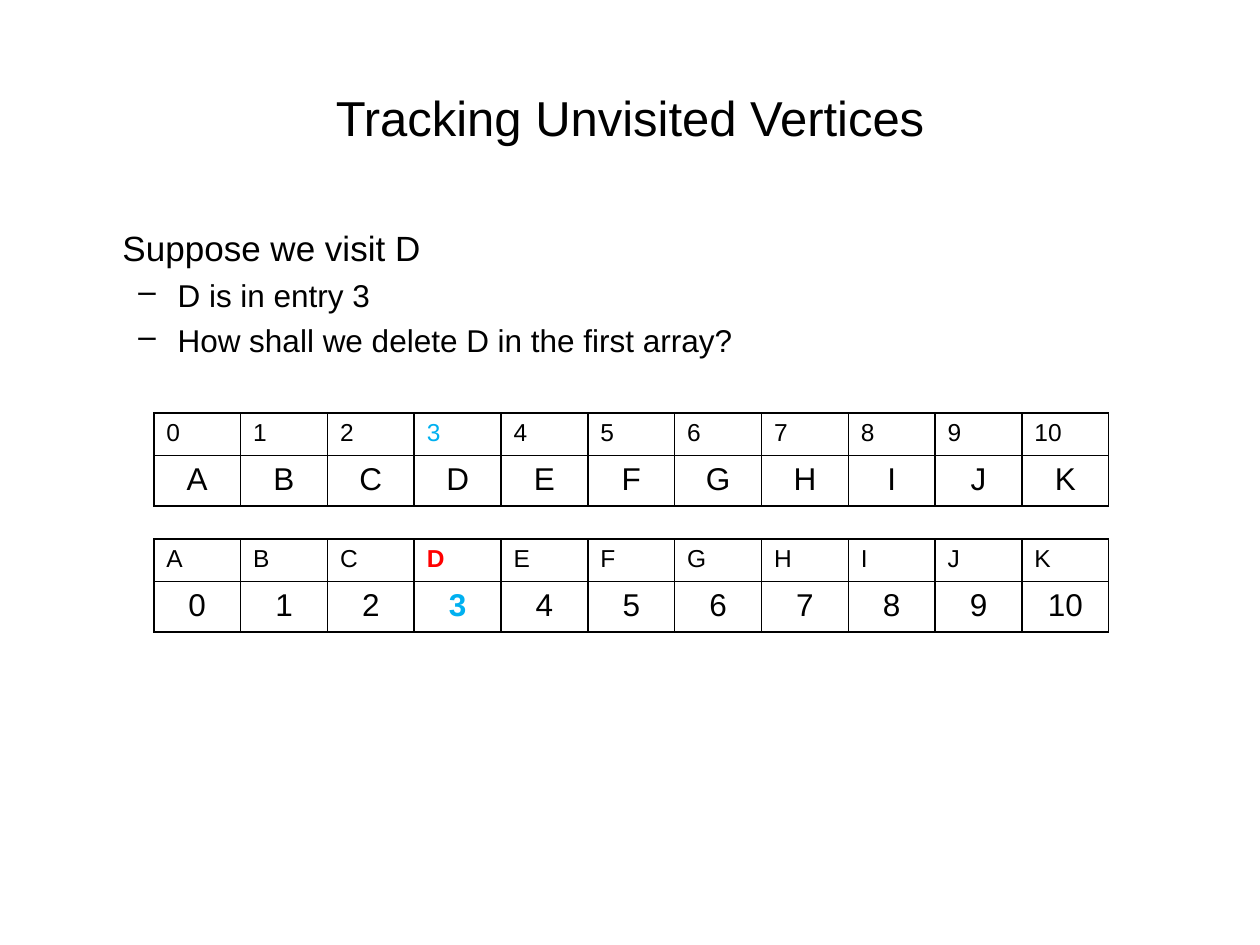
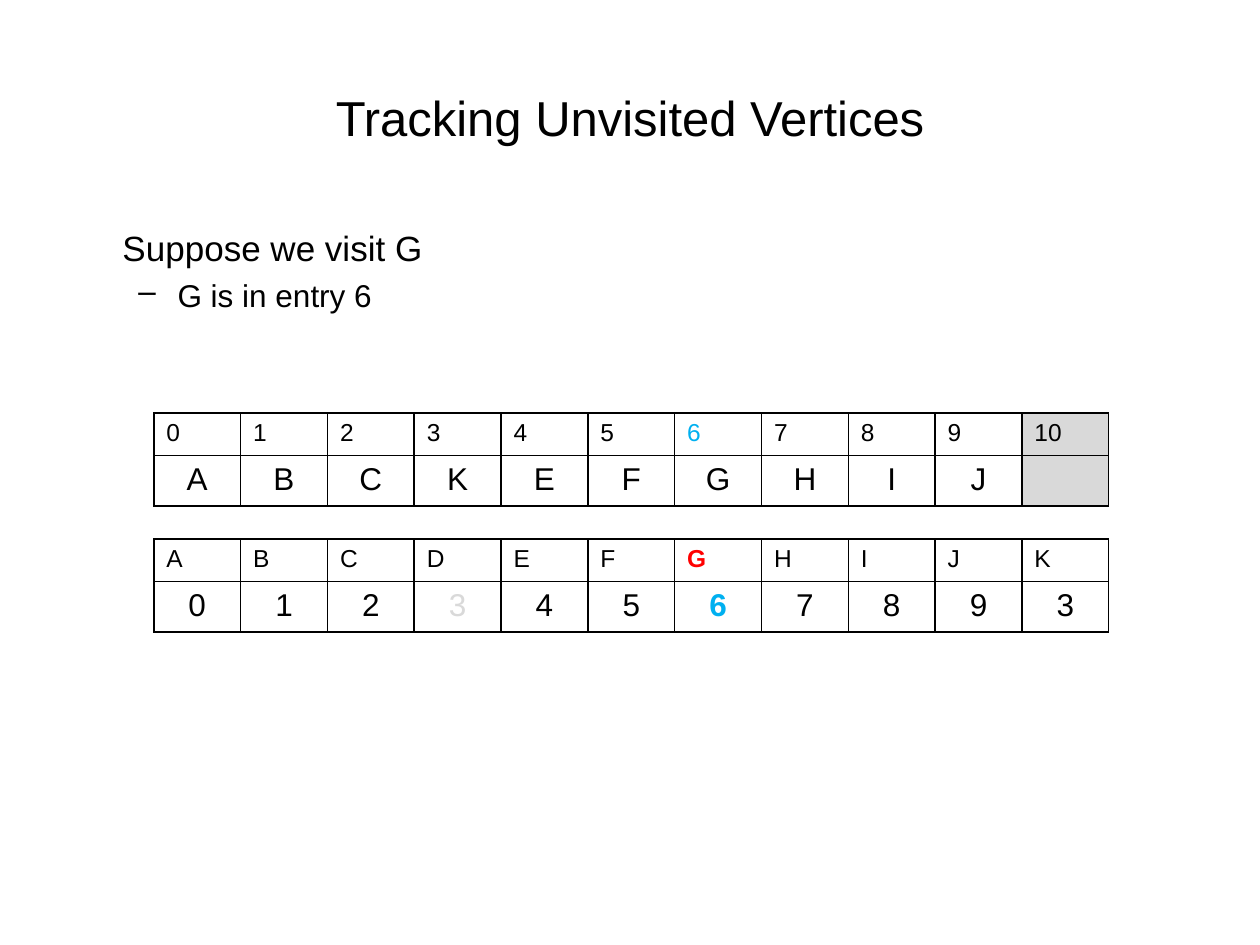
import dataclasses

import lxml.etree
import pptx
import pptx.dml.color
import pptx.enum.text
import pptx.oxml.ns
import pptx.util

Cm = pptx.util.Cm
Pt = pptx.util.Pt
qn = pptx.oxml.ns.qn
Align = pptx.enum.text.PP_ALIGN
Anchor = pptx.enum.text.MSO_ANCHOR


@dataclasses.dataclass(frozen=True)
class Theme:
    font: str = "Arial"
    ink: str = "000000"
    position: str = "00B0F0"
    visited: str = "FF0000"
    removed: str = "D9D9D9"
    title_size: int = 28
    lead_size: int = 20
    detail_size: int = 18
    index_size: int = 14
    value_size: int = 18
    border: int = 1


@dataclasses.dataclass(frozen=True)
class Box:
    left: float
    top: float
    width: float
    height: float

    def lengths(self):
        return Cm(self.left), Cm(self.top), Cm(self.width), Cm(self.height)


THEME = Theme()
TITLE_ONLY = 5
TITLE_BOX = Box(1.27, 0.76, 22.86, 3.18)
POINTS_BOX = Box(1.27, 4.45, 22.86, 12.57)
ARRAYS_BOX = Box(3.1, 8.33, 19.25, 4.4)
INDEX_ROW, VALUE_ROW = 0.84, 1.02
LETTERS = list("ABCDEFGHIJK")
NUMBERS = [str(number) for number in range(len(LETTERS))]


def format_runs(paragraph, size, color=THEME.ink, bold=False):
    for run in paragraph.runs:
        run.font.name = THEME.font
        run.font.size = Pt(size)
        run.font.bold = bold
        run.font.color.rgb = pptx.dml.color.RGBColor.from_string(color)


def indent(paragraph, margin, first_line=0, bullet=None):
    properties = paragraph._p.get_or_add_pPr()
    properties.set("marL", str(Cm(margin)))
    properties.set("indent", str(Cm(first_line)))
    if bullet:
        lxml.etree.SubElement(properties, qn("a:buChar"), char=bullet)


def draw_title(slide, box, wording):
    title = slide.shapes.title
    title.left, title.top, title.width, title.height = box.lengths()
    title.text_frame.text = wording
    title.text_frame.vertical_anchor = Anchor.MIDDLE
    heading = title.text_frame.paragraphs[0]
    heading.alignment = Align.CENTER
    format_runs(heading, THEME.title_size)


def draw_points(slide, box, lead, details):
    frame = slide.shapes.add_textbox(*box.lengths()).text_frame
    frame.word_wrap = True
    frame.text = "\n".join([lead, *details])
    for number, paragraph in enumerate(frame.paragraphs):
        paragraph.space_before = Pt(4)
        if number == 0:
            indent(paragraph, 0.95)
            format_runs(paragraph, THEME.lead_size)
        else:
            paragraph.level = 1
            indent(paragraph, 2.06, -0.79, "–")
            format_runs(paragraph, THEME.detail_size)


def outline(cell):
    properties = cell._tc.get_or_add_tcPr()
    for side in ("a:lnL", "a:lnR", "a:lnT", "a:lnB"):
        line = lxml.etree.SubElement(properties, qn(side), w=str(Pt(THEME.border)))
        fill = lxml.etree.SubElement(line, qn("a:solidFill"))
        lxml.etree.SubElement(fill, qn("a:srgbClr"), val=THEME.ink)


def draw_array(slide, box, rows, colors, bold, shaded=None):
    columns = len(rows[0])
    array = slide.shapes.add_table(len(rows), columns, *box.lengths()).table
    array.first_row = array.horz_banding = False
    for column in array.columns:
        column.width = Cm(box.width / columns)
    styles = [(INDEX_ROW, THEME.index_size, Align.LEFT),
              (VALUE_ROW, THEME.value_size, Align.CENTER)]
    for row, (entries, (height, size, alignment)) in enumerate(zip(rows, styles)):
        array.rows[row].height = Cm(height)
        for column, entry in enumerate(entries):
            cell = array.cell(row, column)
            cell.text_frame.text = entry
            paragraph = cell.text_frame.paragraphs[0]
            paragraph.alignment = alignment
            place = (row, column)
            format_runs(paragraph, size, colors.get(place, THEME.ink), place in bold)
            outline(cell)
            if column == shaded:
                cell.fill.solid()
                cell.fill.fore_color.rgb = pptx.dml.color.RGBColor.from_string(THEME.removed)
            else:
                cell.fill.background()


def draw_arrays(slide, box, vertices, entries, visited, shaded=None, stale=None):
    height = INDEX_ROW + VALUE_ROW
    upper = Box(box.left, box.top, box.width, height)
    lower = Box(box.left, box.top + box.height - height, box.width, height)
    draw_array(slide, upper, [NUMBERS, vertices],
               {(0, visited): THEME.position}, set(), shaded)
    colors = {(0, visited): THEME.visited, (1, visited): THEME.position,
              (1, stale): THEME.removed}
    draw_array(slide, lower, [LETTERS, entries], colors,
               {(0, visited), (1, visited)})


def add_visit_slide(deck, lead, details, **arrays):
    slide = deck.slides.add_slide(deck.slide_layouts[TITLE_ONLY])
    draw_title(slide, TITLE_BOX, "Tracking Unvisited Vertices")
    draw_points(slide, POINTS_BOX, lead, details)
    draw_arrays(slide, ARRAYS_BOX, **arrays)


def main():
    deck = pptx.Presentation()
    deck.slide_width, deck.slide_height = Cm(25.4), Cm(19.05)
    add_visit_slide(
        deck, "Suppose we visit D",
        ["D is in entry 3", "How shall we delete D in the first array?"],
        vertices=LETTERS, entries=NUMBERS, visited=3)
    add_visit_slide(
        deck, "Suppose we visit G", ["G is in entry 6"],
        vertices=[*"ABCKEFGHIJ", ""], entries=[*NUMBERS[:-1], "3"],
        visited=6, shaded=10, stale=3)
    deck.save("out.pptx")


if __name__ == "__main__":
    main()
